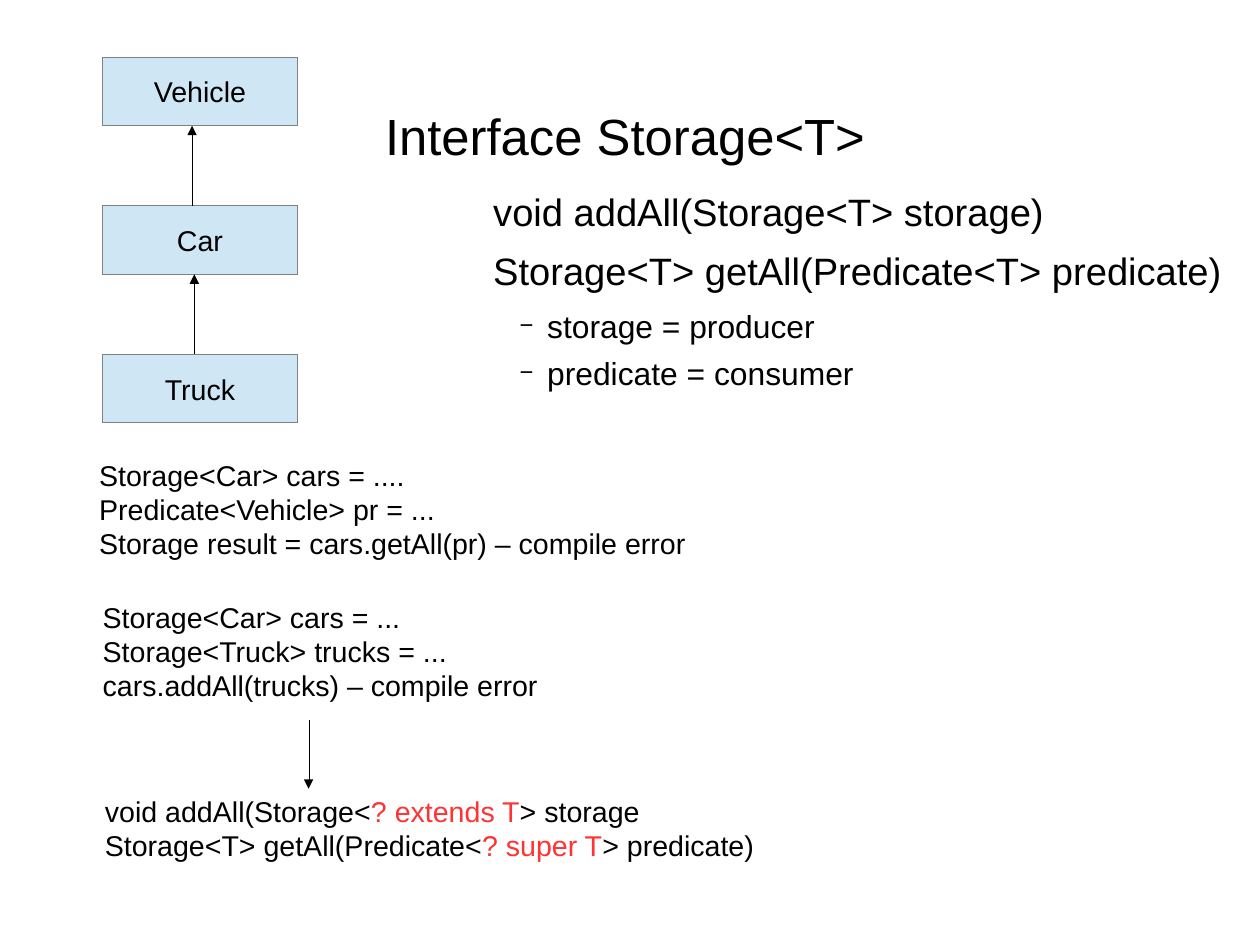
from dataclasses import dataclass

from lxml import etree
from pptx import Presentation
from pptx import util as u
from pptx.dml.color import RGBColor
from pptx.enum import shapes, text
from pptx.oxml import ns

Pt = u.Pt


@dataclass(frozen=True)
class Theme:
    font: str = "Arial"
    ink: str = "000000"
    accent: str = "FF3333"
    box_fill: str = "CFE7F5"
    box_line: str = "808080"
    hairline: float = 0.01
    title_size: float = 32
    method_size: float = 24
    note_size: float = 20
    body_size: float = 18


THEME = Theme()

CLASSES = ["Vehicle", "Car", "Truck"]
CLASS_LEFT, CLASS_TOP, CLASS_WIDTH, CLASS_HEIGHT = 64.8, 36, 122.4, 43.2
CLASS_PITCH = 93.6
INHERITANCE_X = [121, 122.4]

METHODS = ["void addAll(Storage<T> storage)",
           "Storage<T> getAll(Predicate<T> predicate)"]
ROLES = ["storage = producer", "predicate = consumer"]

# Every second part of a line, split at "|", is shown in the accent colour.
SNIPPETS = [
    (55.4, 284.8, 385, ["Storage<Car> cars = ....",
                        "Predicate<Vehicle> pr = ...",
                        "Storage result = cars.getAll(pr) – compile error"]),
    (57.6, 374.1, 290, ["Storage<Car> cars = ...",
                        "Storage<Truck> trucks = ...",
                        "cars.addAll(trucks) – compile error"]),
    (59, 496.5, 425, ["void addAll(Storage<|? extends T|> storage",
                      "Storage<T> getAll(Predicate<|? super T|> predicate)"]),
]


def rgb(value):
    return RGBColor.from_string(value)


def format_span(span, size, color=THEME.ink):
    span.font.name = THEME.font
    span.font.size = Pt(size)
    span.font.color.rgb = rgb(color)


def set_insets(frame, horizontal, vertical):
    frame.margin_left = frame.margin_right = Pt(horizontal)
    frame.margin_top = frame.margin_bottom = Pt(vertical)


def next_para(frame, index):
    """Give the frame's first paragraph, or a new one after it."""
    return frame.add_paragraph() if index else frame.paragraphs[0]


def add_dash(para):
    """Hang a small minus sign in front of the paragraph."""
    props = para._p.get_or_add_pPr()
    props.set("marL", str(Pt(34)))
    props.set("indent", str(Pt(-17.3)))
    color = etree.SubElement(props, ns.qn("a:buClr"))
    etree.SubElement(color, ns.qn("a:srgbClr"), val=THEME.ink)
    etree.SubElement(props, ns.qn("a:buSzPct"), val="75000")
    etree.SubElement(props, ns.qn("a:buFont"), typeface=THEME.font)
    etree.SubElement(props, ns.qn("a:buChar"), char="−")


def add_title(page, wording):
    title = page.shapes.title
    title.left, title.top = Pt(242.6), Pt(65.8)
    title.width, title.height = Pt(500), Pt(40)
    frame = title.text_frame
    frame.text = wording
    frame.auto_size = text.MSO_AUTO_SIZE.NONE
    frame.vertical_anchor = text.MSO_ANCHOR.TOP
    set_insets(frame, 0, 0)
    para = frame.paragraphs[0]
    para.alignment = text.PP_ALIGN.LEFT
    format_span(para.runs[0], THEME.title_size)


def add_outline(page):
    box = page.shapes.add_textbox(Pt(310.7), Pt(118.5), Pt(480), Pt(140))
    frame = box.text_frame
    frame.word_wrap = True
    set_insets(frame, 0, 0)
    for index, line in enumerate(METHODS + ROLES):
        is_role = index >= len(METHODS)
        para = next_para(frame, index)
        para.text = line
        para.space_after = Pt(5.7 if is_role else 8.5)
        format_span(para.runs[0],
                    THEME.note_size if is_role else THEME.method_size)
        if is_role:
            add_dash(para)


def add_class(page, name, top):
    box = page.shapes.add_shape(shapes.MSO_SHAPE.RECTANGLE, Pt(CLASS_LEFT),
                                Pt(top), Pt(CLASS_WIDTH), Pt(CLASS_HEIGHT))
    box.shadow.inherit = False
    box.fill.solid()
    box.fill.fore_color.rgb = rgb(THEME.box_fill)
    box.line.color.rgb = rgb(THEME.box_line)
    box.line.width = Pt(THEME.hairline)
    frame = box.text_frame
    frame.text = name
    frame.vertical_anchor = text.MSO_ANCHOR.MIDDLE
    frame.paragraphs[0].alignment = text.PP_ALIGN.CENTER
    format_span(frame.paragraphs[0].runs[0], THEME.body_size)


def add_arrow(page, x, start, end):
    arrow = page.shapes.add_connector(shapes.MSO_CONNECTOR.STRAIGHT,
                                      Pt(x), Pt(start), Pt(x), Pt(end))
    arrow.line.color.rgb = rgb(THEME.ink)
    arrow.line.width = Pt(THEME.hairline)
    etree.SubElement(arrow.line._get_or_add_ln(), ns.qn("a:tailEnd"),
                     type="triangle")
    etree.SubElement(arrow._element.spPr, ns.qn("a:effectLst"))


def add_snippet(page, left, top, width, lines):
    box = page.shapes.add_textbox(Pt(left), Pt(top), Pt(width),
                                  Pt(7.2 + 20.2 * len(lines)))
    frame = box.text_frame
    frame.word_wrap = False
    frame.auto_size = text.MSO_AUTO_SIZE.SHAPE_TO_FIT_TEXT
    set_insets(frame, 7.2, 3.6)
    for index, line in enumerate(lines):
        para = next_para(frame, index)
        for part, wording in enumerate(line.split("|")):
            span = para.add_run()
            span.text = wording
            format_span(span, THEME.body_size,
                        THEME.accent if part % 2 else THEME.ink)


def main():
    deck = Presentation()
    deck.slide_width, deck.slide_height = Pt(793.75), Pt(595.25)
    page = deck.slides.add_slide(deck.slide_layouts[5])

    add_title(page, "Interface Storage<T>")
    add_outline(page)
    tops = [CLASS_TOP + CLASS_PITCH * row for row in range(len(CLASSES))]
    for name, top in zip(CLASSES, tops):
        add_class(page, name, top)
    for x, parent, child in zip(INHERITANCE_X, tops, tops[1:]):
        add_arrow(page, x, child, parent + CLASS_HEIGHT)
    for snippet in SNIPPETS:
        add_snippet(page, *snippet)
    add_arrow(page, 194.4, 453.6, 496.8)

    deck.save("out.pptx")


if __name__ == "__main__":
    main()
